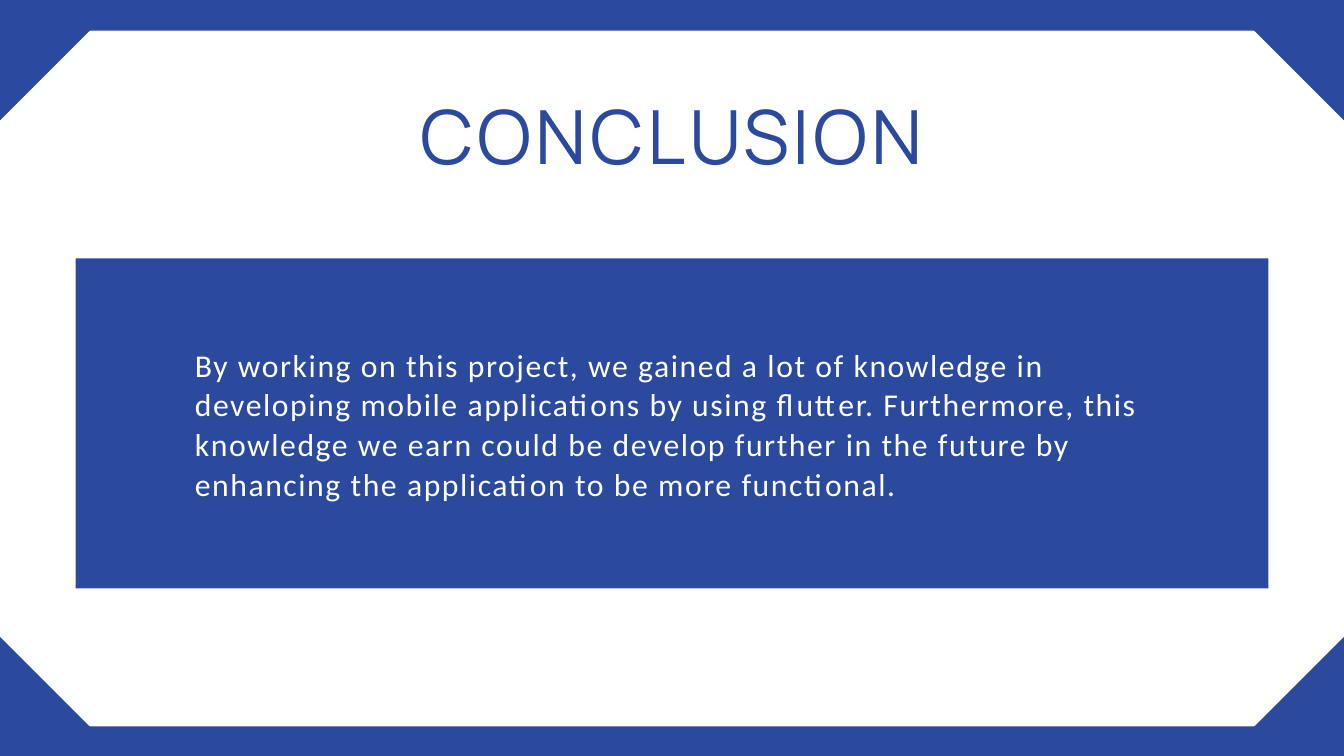
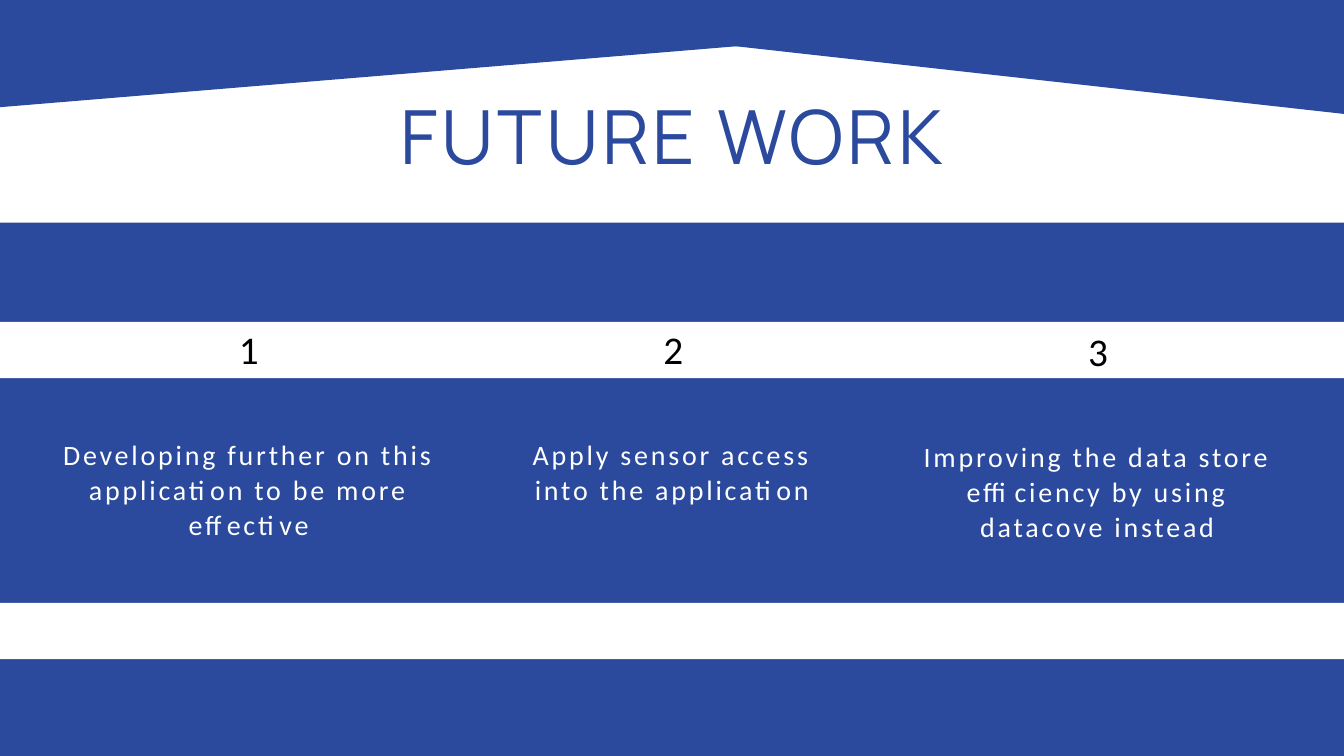
from pptx import Presentation
from pptx.dml.color import RGBColor
from pptx.enum.shapes import MSO_SHAPE
from pptx.enum.text import MSO_AUTO_SIZE, PP_ALIGN
from pptx.util import Pt

WIDE, HIGH = 1440, 810
BLUE, WHITE, BLACK = "2B4A9D", "FFFFFF", "000000"
EDGE, CORNER = 33, 128.9
LOW = 811.4


def color(code):
    return RGBColor.from_string(code)


def shape(slide, kind, left, top, width, height, fill=BLUE, turn=0):
    item = slide.shapes.add_shape(kind, Pt(left), Pt(top), Pt(width), Pt(height))
    item.shadow.inherit = False
    item.fill.solid()
    item.fill.fore_color.rgb = color(fill)
    item.line.fill.background()
    item.rotation = turn


def block(slide, left, top, width, height, **style):
    shape(slide, MSO_SHAPE.RECTANGLE, left, top, width, height, **style)


def band(slide, top, height, fill=BLUE):
    block(slide, 0, top, WIDE, height, fill=fill)


def corner(slide, left, top, turn):
    shape(slide, MSO_SHAPE.RIGHT_TRIANGLE, left, top, CORNER, CORNER, turn=turn)


def write(slide, text, left, top, width, height, size, lead, gap,
          font="Calibri", ink=WHITE, align=PP_ALIGN.CENTER):
    box = slide.shapes.add_textbox(Pt(left), Pt(top), Pt(width), Pt(height))
    frame = box.text_frame
    frame.word_wrap = True
    frame.auto_size = MSO_AUTO_SIZE.SHAPE_TO_FIT_TEXT
    frame.margin_left = frame.margin_right = 0
    frame.margin_top = frame.margin_bottom = 0
    line = frame.paragraphs[0]
    line.alignment = align
    line.line_spacing = Pt(lead)
    run = line.add_run()
    run.text = text
    run.font.name = font
    run.font.size = Pt(size)
    run.font.color.rgb = color(ink)
    run._r.get_or_add_rPr().set("spc", str(round(gap * 100)))


def title(slide, text):
    write(slide, text, 116.6, 108.4, 1206.8, 93.6, size=80, lead=84, gap=4,
          font="Manrope", ink=BLUE)


def frame_page(slide):
    right, low = WIDE - CORNER, LOW - CORNER
    band(slide, 0, EDGE)
    band(slide, LOW - EDGE, EDGE)
    for left, top, turn in ((0, 0, 90), (right, 0, 180),
                            (right, low, 270), (0, low, 0)):
        corner(slide, left, top, turn)


def closing(slide):
    title(slide, "CONCLUSION")
    frame_page(slide)
    block(slide, 81, 276.8, 1278, 353.6)
    write(slide, "By working on this project, we gained a lot of knowledge in "
          "developing mobile applications by using flutter. Furthermore, this "
          "knowledge we earn could be develop further in the future by "
          "enhancing the application to be more functional.",
          208.8, 368.6, 1022.4, 167.8, size=34, lead=42.5, gap=1.7,
          align=PP_ALIGN.LEFT)


def roof(slide):
    block(slide, 299.5, -55.4, WIDE, 130.3, turn=6.35)
    block(slide, -299.5, -50.4, WIDE, 130.3, turn=355.27)


def future(slide):
    band(slide, 238.6, HIGH - 238.6)
    roof(slide)
    for top in (344.8, 646):
        band(slide, top, 60.3, fill=WHITE)
    title(slide, "FUTURE WORK")
    goals = (
        ("Developing further on this application to be more effective", 34.6, 463.7, 0),
        ("Apply sensor access into the application", 555.1, 329.8, 0),
        ("Improving the data store efficiency by using datacove instead", 977, 397.4, 2),
    )
    for index, (text, left, width, drop) in enumerate(goals):
        write(slide, text, left, 467.3 + drop, width, 112.3,
              size=30, lead=37.5, gap=3)
        write(slide, str(index + 1), 184.4 + 455 * index, 347 + drop, 164.2, 52.6,
              size=42, lead=52.5, gap=4.2, ink=BLACK)


def main():
    deck = Presentation()
    deck.slide_width, deck.slide_height = Pt(WIDE), Pt(HIGH)
    for build in (closing, future):
        build(deck.slides.add_slide(deck.slide_layouts[6]))
    deck.save("out.pptx")


if __name__ == "__main__":
    main()
